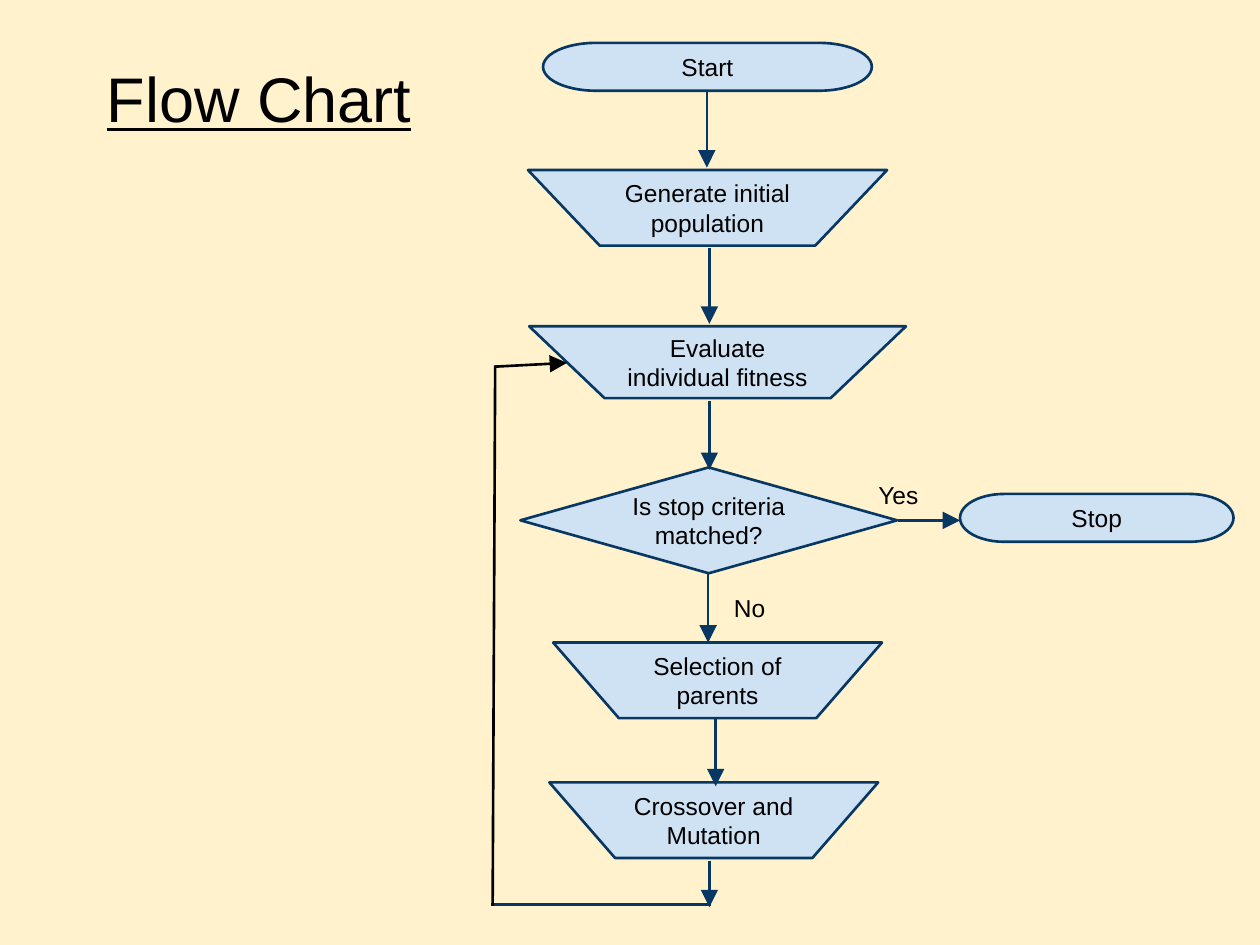
import pptx
import pptx.util
import pptx.dml.color
import pptx.enum.shapes
import pptx.enum.text
import pptx.oxml
import pptx.oxml.ns

Inches = pptx.util.Inches
SHAPES = pptx.enum.shapes.MSO_SHAPE
ALIGN = pptx.enum.text.PP_ALIGN

NAVY, PALE_BLUE, CREAM, BLACK = "073763", "CFE2F3", "FFF2CC", "000000"
FONT = "Arial"
LINE_WIDTH = pptx.util.Pt(1.5)


def color(hex_string):
    return pptx.dml.color.RGBColor.from_string(hex_string)


def write(shape, text, size=14, align=ALIGN.CENTER, inset=0.1, underline=None):
    frame = shape.text_frame
    frame.word_wrap = True
    frame.vertical_anchor = pptx.enum.text.MSO_ANCHOR.MIDDLE
    frame.margin_left = frame.margin_right = Inches(0.1)
    frame.margin_top = frame.margin_bottom = Inches(inset)
    para = frame.paragraphs[0]
    para.alignment = align
    span = para.add_run()
    span.text = text
    span.font.name = FONT
    span.font.size = pptx.util.Pt(size)
    span.font.underline = underline
    span.font.color.rgb = color(BLACK)


def add_label(page, box, text, **style):
    write(page.shapes.add_textbox(*map(Inches, box)), text, **style)


def add_step(page, kind, box, text):
    step = page.shapes.add_shape(kind, *map(Inches, box))
    step.shadow.inherit = False
    step.fill.solid()
    step.fill.fore_color.rgb = color(PALE_BLUE)
    step.line.color.rgb = color(NAVY)
    step.line.width = LINE_WIDTH
    write(step, text)


def add_line(page, start, end, line_color=NAVY, arrow=True):
    line = page.shapes.add_connector(
        pptx.enum.shapes.MSO_CONNECTOR.STRAIGHT, *map(Inches, start + end))
    line.line.color.rgb = color(line_color)
    line.line.width = LINE_WIDTH
    properties = line._element.spPr
    if arrow:
        head = pptx.oxml.parse_xml(
            '<a:tailEnd %s type="triangle" w="lg" len="lg"/>'
            % pptx.oxml.ns.nsdecls("a"))
        properties.find(pptx.oxml.ns.qn("a:ln")).append(head)
    properties.append(pptx.oxml.parse_xml(
        "<a:effectLst %s/>" % pptx.oxml.ns.nsdecls("a")))


def add_flow(page):
    # Steps
    operation = SHAPES.FLOWCHART_MANUAL_OPERATION
    terminator = SHAPES.FLOWCHART_TERMINATOR
    for kind, box, text in [
        (terminator, (4.31, 0.34, 2.61, 0.38), "Start"),
        (operation, (4.19, 1.35, 2.85, 0.6), "Generate initial population"),
        (operation, (4.2, 2.59, 2.99, 0.57), "Evaluate individual fitness"),
        (SHAPES.FLOWCHART_DECISION, (4.13, 3.71, 2.99, 0.84),
         "Is stop criteria matched?"),
        (operation, (4.39, 5.1, 2.61, 0.6), "Selection of parents"),
        (operation, (4.36, 6.21, 2.61, 0.6), "Crossover and Mutation"),
        (terminator, (7.62, 3.92, 2.17, 0.38), "Stop"),
    ]:
        add_step(page, kind, box, text)

    # Downward arrows between steps: x, top, bottom
    for x, top, bottom in [
        (5.61, 0.73, 1.33), (5.63, 1.97, 2.57), (5.63, 3.18, 3.73),
        (5.62, 4.55, 5.1), (5.68, 5.69, 6.24), (5.63, 6.83, 7.2),
    ]:
        add_line(page, (x, top), (x, bottom))

    # Branches of the decision
    add_line(page, (7.13, 4.13), (7.62, 4.13))
    add_label(page, (6.51, 3.77, 1.24, 0.32), "Yes")
    add_label(page, (5.47, 4.66, 0.96, 0.32), "No")

    # Loop back to the evaluation step
    add_line(page, (5.64, 7.18), (3.9, 7.18), arrow=False)
    add_line(page, (3.91, 7.19), (3.93, 2.9), BLACK, arrow=False)
    add_line(page, (3.93, 2.91), (4.5, 2.88), BLACK)


def main():
    deck = pptx.Presentation()
    deck.slide_width, deck.slide_height = Inches(10), Inches(7.5)
    page = deck.slides.add_slide(deck.slide_layouts[6])
    page.background.fill.solid()
    page.background.fill.fore_color.rgb = color(CREAM)
    add_label(page, (0.75, 0.15, 8.5, 1.25), "Flow Chart", size=36,
              align=ALIGN.LEFT, inset=0.05, underline=True)
    add_flow(page)
    deck.save("out.pptx")


if __name__ == "__main__":
    main()
